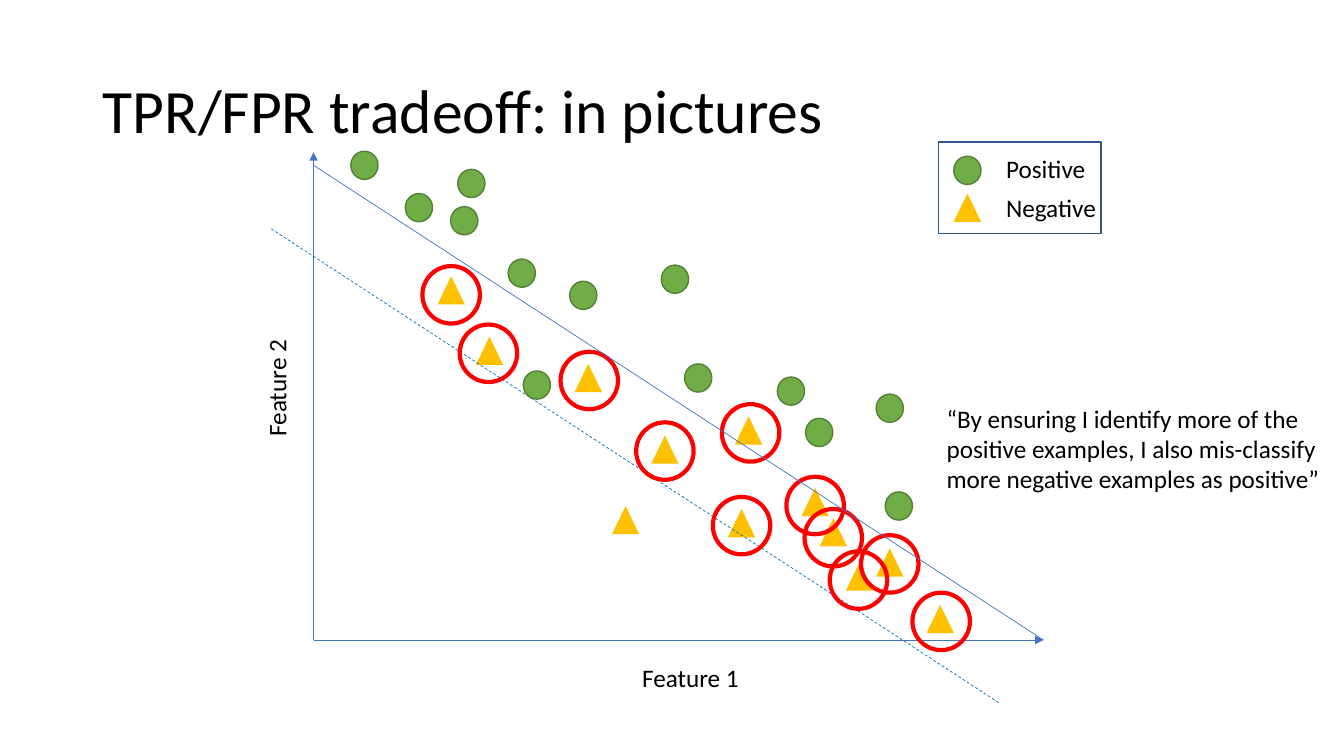
"""Builds a slide that shows the TPR/FPR tradeoff as a scatter diagram."""
import lxml.etree
import pptx
import pptx.dml.color
import pptx.enum.dml
import pptx.enum.shapes
import pptx.enum.text
import pptx.oxml.ns
import pptx.util

Inches = pptx.util.Inches
Pt = pptx.util.Pt
RGBColor = pptx.dml.color.RGBColor
Shape = pptx.enum.shapes.MSO_SHAPE

BLACK = RGBColor(0x00, 0x00, 0x00)
BLUE = RGBColor(0x44, 0x72, 0xC4)
LEGEND_BLUE = RGBColor(0x32, 0x54, 0x91)
DASH_BLUE = RGBColor(0x00, 0x70, 0xC0)
GREEN = RGBColor(0x70, 0xAD, 0x47)
DARK_GREEN = RGBColor(0x53, 0x80, 0x35)
AMBER = RGBColor(0xFF, 0xC0, 0x00)
RED = RGBColor(0xFF, 0x00, 0x00)

FONT = "Calibri"
MARKER_SIZE = (0.27, 0.28)
RING_SIZE = (0.57, 0.57)
LABEL_SIZE = (1.22, 0.4)
ORIGIN = (3.11, 6.35)
AXIS_END = (10.35, 6.35)

POSITIVES = [
    (5.65, 2.79), (6.56, 2.63), (6.79, 3.61), (7.71, 3.74), (7.99, 4.15),
    (5.19, 3.68), (4.47, 2.05), (4.02, 1.92), (8.78, 4.88), (8.69, 3.91),
    (5.04, 2.57), (4.54, 1.68), (3.48, 1.5),
]
NEGATIVES = [
    (4.72, 3.34), (5.7, 3.61), (6.46, 4.32), (7.22, 5.05), (6.07, 5.02),
    (7.29, 4.13), (4.34, 2.74), (8.13, 5.14), (8.39, 5.58), (8.69, 5.44),
    (7.95, 4.84), (9.19, 6),
]
FALSE_POSITIVE_RINGS = [
    (7.16, 4.01), (4.19, 2.64), (5.56, 3.49), (6.31, 4.19), (7.8, 4.73),
    (7.98, 5.05), (8.23, 5.47), (8.54, 5.31), (9.05, 5.88), (4.56, 3.22),
    (7.07, 4.93),
]
QUOTE = ("“By ensuring I identify more of the positive examples, "
         "I also mis-classify more negative examples as positive”")


def add_outline(slide, kind, position, size, fill=None, line=None, width=1):
    """Add a preset shape with an optional fill and an optional line."""
    shape = slide.shapes.add_shape(kind, *map(Inches, position + size))
    shape.shadow.inherit = False
    if fill is None:
        shape.fill.background()
    else:
        shape.fill.solid()
        shape.fill.fore_color.rgb = fill
    if line is None:
        shape.line.fill.background()
    else:
        shape.line.color.rgb = line
        shape.line.width = Pt(width)


def add_positive(slide, position):
    """Add a green circle for a positive example."""
    add_outline(slide, Shape.OVAL, position, MARKER_SIZE, GREEN, DARK_GREEN)


def add_negative(slide, position):
    """Add an amber triangle for a negative example."""
    add_outline(slide, Shape.ISOSCELES_TRIANGLE, position, MARKER_SIZE, AMBER)


def add_line(slide, start, end, color=BLUE, arrow=False, dashed=False):
    """Add a thin straight line, with an arrowhead or dashes if asked."""
    line = slide.shapes.add_connector(
        pptx.enum.shapes.MSO_CONNECTOR.STRAIGHT, *map(Inches, start + end))
    line.line.color.rgb = color
    line.line.width = Pt(0.5)
    if dashed:
        line.line.dash_style = pptx.enum.dml.MSO_LINE.DASH
    qn = pptx.oxml.ns.qn
    properties = line._element.spPr
    if arrow:
        lxml.etree.SubElement(
            properties.find(qn("a:ln")), qn("a:tailEnd"), type="triangle")
    lxml.etree.SubElement(properties, qn("a:effectLst"))


def add_text(slide, text, position, size=LABEL_SIZE, rotation=0):
    """Add a wrapped text box in the body font."""
    box = slide.shapes.add_textbox(*map(Inches, position + size))
    box.rotation = rotation
    frame = box.text_frame
    frame.word_wrap = True
    frame.auto_size = pptx.enum.text.MSO_AUTO_SIZE.SHAPE_TO_FIT_TEXT
    frame.text = text
    format_font(frame.paragraphs[0], 18)


def format_font(paragraph, size):
    """Set the font of a paragraph."""
    paragraph.font.name = FONT
    paragraph.font.size = Pt(size)
    paragraph.font.color.rgb = BLACK


def set_title(slide, text):
    """Place and format the title."""
    title = slide.shapes.title
    title.left, title.top = Inches(0.92), Inches(0.4)
    title.width, title.height = Inches(11.5), Inches(1.45)
    frame = title.text_frame
    frame.text = text
    frame.vertical_anchor = pptx.enum.text.MSO_ANCHOR.MIDDLE
    paragraph = frame.paragraphs[0]
    paragraph.alignment = pptx.enum.text.PP_ALIGN.LEFT
    paragraph.line_spacing = 0.9
    format_font(paragraph, 44)


def add_legend(slide):
    """Add the framed key to the two markers."""
    add_positive(slide, (9.46, 1.55))
    add_negative(slide, (9.46, 1.92))
    add_text(slide, "Positive", (9.88, 1.47))
    add_text(slide, "Negative", (9.88, 1.86))
    add_outline(slide, Shape.RECTANGLE, (9.31, 1.41), (1.61, 0.91),
                line=LEGEND_BLUE)


def main():
    """Build and save the deck."""
    deck = pptx.Presentation()
    deck.slide_width, deck.slide_height = Inches(13.33), Inches(7.5)
    slide = deck.slides.add_slide(deck.slide_layouts[5])
    set_title(slide, "TPR/FPR tradeoff: in pictures")

    add_line(slide, ORIGIN, (3.11, 1.51), arrow=True)
    add_line(slide, ORIGIN, AXIS_END, arrow=True)
    add_text(slide, "Feature 1", (6.27, 6.52))
    add_text(slide, "Feature 2", (2.13, 3.62), rotation=270)
    add_legend(slide)

    for position in NEGATIVES:
        add_negative(slide, position)
    add_line(slide, (2.69, 2.27), (9.92, 6.98), DASH_BLUE, dashed=True)
    for position in POSITIVES:
        add_positive(slide, position)
    for position in FALSE_POSITIVE_RINGS:
        add_outline(slide, Shape.OVAL, position, RING_SIZE, line=RED, width=3)

    add_text(slide, QUOTE, (9.29, 3.95), (3.94, 1.01))
    add_line(slide, (3.11, 1.64), AXIS_END)
    deck.save("out.pptx")


if __name__ == "__main__":
    main()
